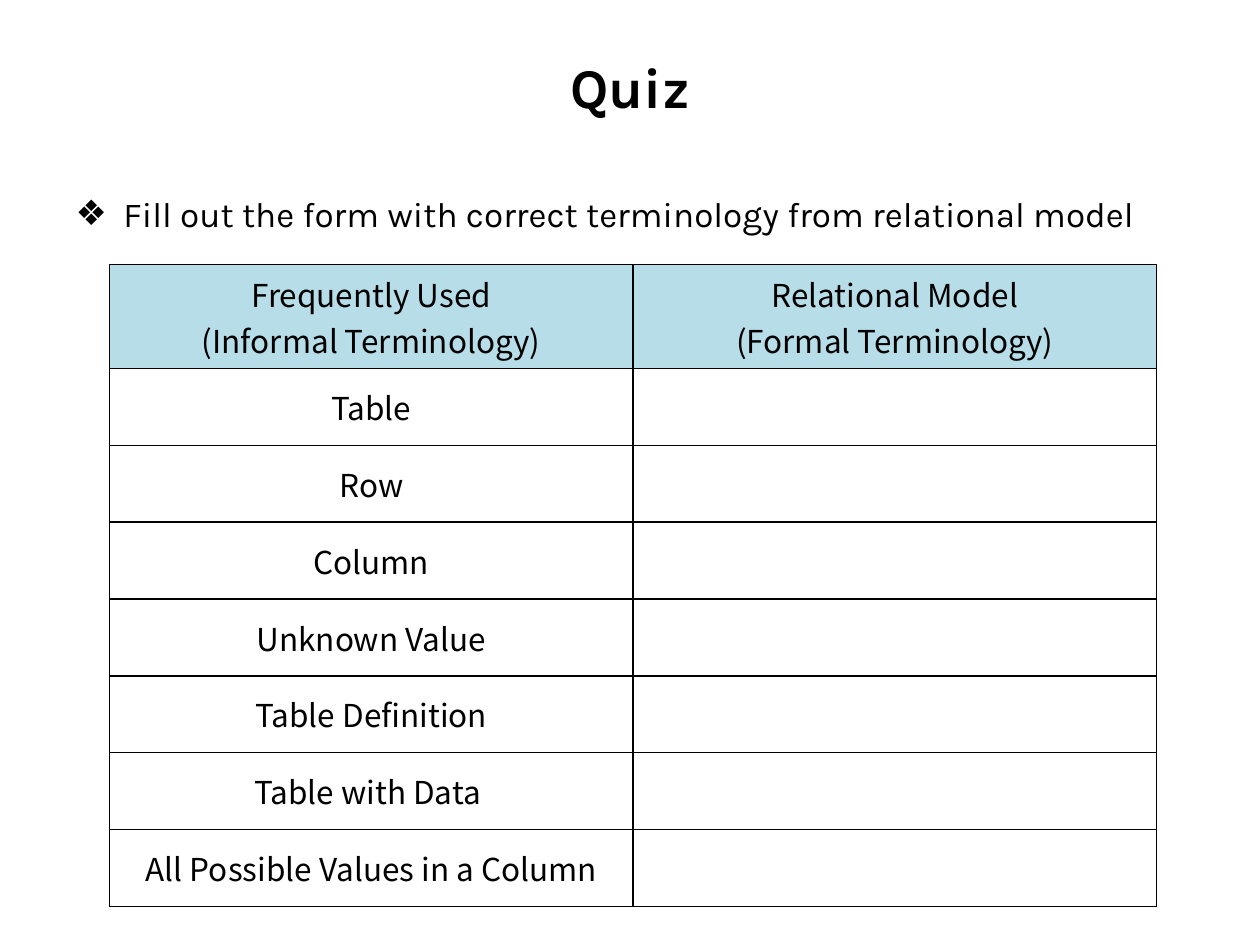
from pptx import Presentation
from pptx.dml.color import RGBColor
from pptx.enum.text import MSO_ANCHOR, MSO_AUTO_SIZE, PP_ALIGN
from pptx.oxml import parse_xml
from pptx.oxml.ns import nsdecls
from pptx.util import Inches, Pt

BLACK = RGBColor(0, 0, 0)
AQUA = RGBColor(0xB7, 0xDE, 0xE8)

HEADS = [
    "Frequently Used\n(Informal Terminology)",
    "Relational Model\n(Formal Terminology)",
]
TERMS = [
    "Table",
    "Row",
    "Column",
    "Unknown Value",
    "Table Definition",
    "Table with Data ",
    "All Possible Values in a Column",
]


def write(frame, text, font, size, bold=False, align=PP_ALIGN.CENTER, space=None):
    frame.text = text
    for para in frame.paragraphs:
        para.alignment = align
        para.line_spacing = space
        for run in para.runs:
            run.font.name = font
            run.font.size = Pt(size)
            run.font.bold = bold
            run.font.color.rgb = BLACK


class Page:
    head = "Karla"
    cell = "Noto Sans CJK KR"

    def __init__(self, deck, layout):
        self.slide = deck.slides.add_slide(deck.slide_layouts[layout])

    def place(self, index, box):
        shape = self.slide.placeholders[index]
        shape.left, shape.top, shape.width, shape.height = map(Inches, box)
        shape.text_frame.auto_size = MSO_AUTO_SIZE.NONE
        return shape.text_frame

    def title(self, text, box):
        frame = self.place(0, box)
        frame.vertical_anchor = MSO_ANCHOR.MIDDLE
        write(frame, text, self.head, 32, bold=True)

    def body(self, text, box):
        frame = self.place(1, box)
        write(frame, text, self.head, 20, align=PP_ALIGN.JUSTIFY, space=1.5)
        for para in frame.paragraphs:
            props = para._p.get_or_add_pPr()
            props.set("marL", str(Inches(0.38)))
            props.set("indent", str(Inches(-0.38)))
            props.append(parse_xml(f'<a:buChar {nsdecls("a")} char="❖"/>'))

    def border(self, cell):
        props = cell._tc.get_or_add_tcPr()
        for place, side in enumerate("LRTB"):
            line = parse_xml(
                f'<a:ln{side} {nsdecls("a")} w="{Pt(1)}"><a:solidFill>'
                f'<a:srgbClr val="{BLACK}"/></a:solidFill></a:ln{side}>'
            )
            props.insert(place, line)

    def table(self, rows, left, top, width, height):
        spot = map(Inches, (left, top, width, height * len(rows)))
        grid = self.slide.shapes.add_table(len(rows), len(rows[0]), *spot).table
        for r, row in enumerate(rows):
            grid.rows[r].height = Inches(height)
            for c, text in enumerate(row):
                cell = grid.cell(r, c)
                cell.vertical_anchor = MSO_ANCHOR.MIDDLE
                if r == 0:
                    cell.fill.solid()
                    cell.fill.fore_color.rgb = AQUA
                else:
                    cell.fill.background()
                self.border(cell)
                if text:
                    write(cell.text_frame, text, self.cell, 18)


def main():
    deck = Presentation()
    deck.slide_width, deck.slide_height = Inches(10), Inches(7.5)
    page = Page(deck, 1)
    page.title("Quiz", (0.5, 0.3, 9, 0.77))
    page.body(
        "Fill out the form with correct terminology from relational model",
        (0.5, 1.31, 9, 5.83),
    )
    page.table([HEADS] + [[term, ""] for term in TERMS], 0.87, 2.1, 8.31, 0.61)
    deck.save("out.pptx")


if __name__ == "__main__":
    main()
